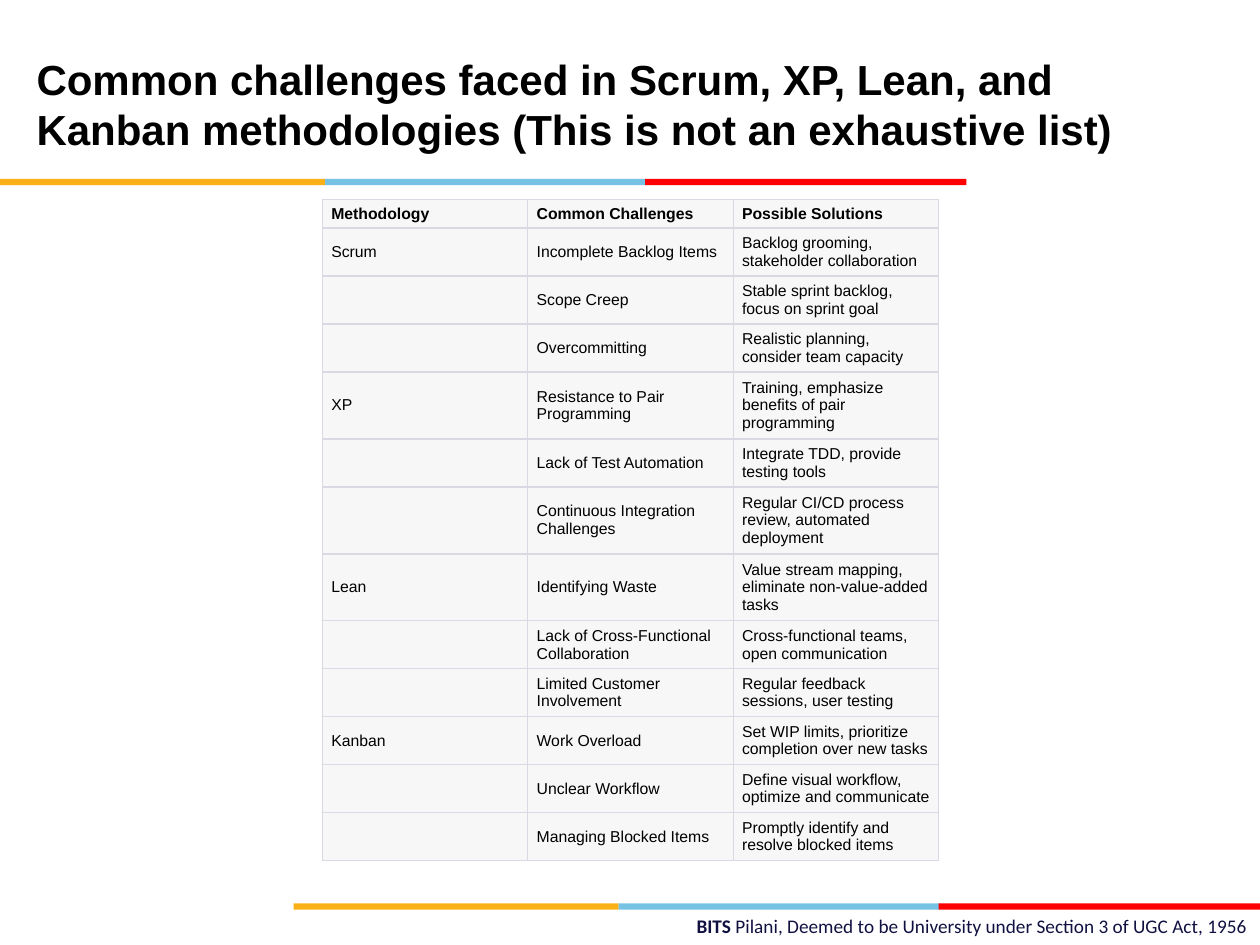
from dataclasses import dataclass

from lxml.etree import SubElement
from pptx import Presentation
from pptx.dml.color import RGBColor
from pptx.enum.shapes import MSO_SHAPE as Shape
from pptx.enum.text import MSO_ANCHOR as Anchor, MSO_AUTO_SIZE as AutoSize, PP_ALIGN as Align
from pptx.oxml.ns import qn
from pptx.util import Inches, Pt

BLACK, NAVY = "000000", "101141"
CELL_FILL, CELL_BORDER = "F7F7F8", "D9D9E3"
HEADER_HEIGHT, TWO_LINES, THREE_LINES = 0.22, 0.36, 0.5
COLUMN_WIDTH = 1.63
HEADINGS = ("Methodology", "Common Challenges", "Possible Solutions")


@dataclass
class Band:
    color: str
    offset: float
    width: float


@dataclass
class Challenge:
    methodology: str
    name: str
    solution: str
    height: float = TWO_LINES


@dataclass
class Span:
    text: str
    size: float
    font: str = "Arial"
    color: str = BLACK
    bold: bool = False


BANDS = [
    Band("FCB017", 0, 2.58),
    Band("76C2E5", 2.58, 2.55),
    Band("FF0000", 5.12, 2.55),
]

CHALLENGES = [
    Challenge("Scrum", "Incomplete Backlog Items", "Backlog grooming, stakeholder collaboration"),
    Challenge("", "Scope Creep", "Stable sprint backlog, focus on sprint goal"),
    Challenge("", "Overcommitting", "Realistic planning, consider team capacity"),
    Challenge("XP", "Resistance to Pair Programming",
              "Training, emphasize benefits of pair programming", THREE_LINES),
    Challenge("", "Lack of Test Automation", "Integrate TDD, provide testing tools"),
    Challenge("", "Continuous Integration Challenges",
              "Regular CI/CD process review, automated deployment", THREE_LINES),
    Challenge("Lean", "Identifying Waste",
              "Value stream mapping, eliminate non-value-added tasks", THREE_LINES),
    Challenge("", "Lack of Cross-Functional Collaboration",
              "Cross-functional teams, open communication"),
    Challenge("", "Limited Customer Involvement", "Regular feedback sessions, user testing"),
    Challenge("Kanban", "Work Overload", "Set WIP limits, prioritize completion over new tasks"),
    Challenge("", "Unclear Workflow", "Define visual workflow, optimize and communicate"),
    Challenge("", "Managing Blocked Items", "Promptly identify and resolve blocked items"),
]


def rgb(color: str) -> RGBColor:
    return RGBColor.from_string(color)


def apply(target, values: dict) -> None:
    for name, value in values.items():
        setattr(target, name, value)


def add_spans(para, spans: list[Span]) -> None:
    for span in spans:
        run = para.add_run()
        run.text = span.text
        apply(run.font, {"size": Pt(span.size), "name": span.font, "bold": span.bold})
        run.font.color.rgb = rgb(span.color)


def add_stripe(page, left: float, top: float) -> None:
    for band in BANDS:
        bar = page.shapes.add_shape(Shape.RECTANGLE, Inches(left + band.offset), Inches(top),
                                    Inches(band.width), Inches(0.05))
        bar.shadow.inherit = False
        bar.fill.solid()
        bar.fill.fore_color.rgb = rgb(band.color)
        bar.line.fill.background()


def add_text(page, left: float, top: float, width: float, height: float,
             spans: list[Span], align: Align, **frame_format) -> None:
    box = page.shapes.add_textbox(Inches(left), Inches(top), Inches(width), Inches(height))
    margins = {f"margin_{side}": Inches(0.05) for side in ("left", "top", "right", "bottom")}
    apply(box.text_frame, {"word_wrap": True, **margins, **frame_format})
    para = box.text_frame.paragraphs[0]
    para.alignment = align
    add_spans(para, spans)


def add_borders(cell, widths: dict[str, float]) -> None:
    properties = cell._tc.get_or_add_tcPr()
    for side, width in widths.items():
        line = SubElement(properties, qn(f"a:ln{side}"), w=str(Pt(width)))
        fill = SubElement(line, qn("a:solidFill"))
        SubElement(fill, qn("a:srgbClr"), val=CELL_BORDER)


def fill_cell(cell, text: str, header: bool, last: bool) -> None:
    apply(cell, {
        "margin_left": Inches(0.07), "margin_right": Inches(0.07),
        "margin_top": Inches(0.04), "margin_bottom": Inches(0.04),
        "vertical_anchor": Anchor.BOTTOM if header else Anchor.MIDDLE,
    })
    add_borders(cell, {"L": 0.75, "R": 0.75, "T": 0.75 if header else 1, "B": 0.75 if last else 1})
    cell.fill.solid()
    cell.fill.fore_color.rgb = rgb(CELL_FILL)
    para = cell.text_frame.paragraphs[0]
    if text:
        add_spans(para, [Span(text, 9, bold=header)])
    else:
        SubElement(para._p, qn("a:endParaRPr"), sz="900")


def add_challenge_table(page, left: float, top: float) -> None:
    rows = [HEADINGS] + [(item.methodology, item.name, item.solution) for item in CHALLENGES]
    heights = [HEADER_HEIGHT] + [item.height for item in CHALLENGES]
    frame = page.shapes.add_table(len(rows), len(HEADINGS), Inches(left), Inches(top),
                                  Inches(COLUMN_WIDTH * len(HEADINGS)), Inches(sum(heights)))
    table = frame.table
    apply(table, {"first_row": False, "horz_banding": False})
    for column in table.columns:
        column.width = Inches(COLUMN_WIDTH)
    for index, (texts, height) in enumerate(zip(rows, heights)):
        table.rows[index].height = Inches(height)
        for cell, text in zip(table.rows[index].cells, texts):
            fill_cell(cell, text, header=index == 0, last=index == len(rows) - 1)


def main() -> None:
    deck = Presentation()
    apply(deck, {"slide_width": Inches(10), "slide_height": Inches(7.5)})
    page = deck.slides.add_slide(deck.slide_layouts[6])

    add_stripe(page, 0, 1.42)
    add_stripe(page, 2.33, 7.17)
    add_text(page, 3.63, 7.21, 6.32, 0.29, [
        Span("BITS ", 11, "Calibri", NAVY, True),
        Span("Pilani, Deemed to be University under Section 3 of UGC Act, 1956", 11, "Calibri", NAVY),
    ], Align.RIGHT, auto_size=AutoSize.SHAPE_TO_FIT_TEXT)
    add_text(page, 0.24, 0.2, 9, 1.25, [
        Span("Common challenges faced in Scrum, XP, Lean, and Kanban methodologies "
             "(This is not an exhaustive list)", 24, bold=True),
    ], Align.LEFT, vertical_anchor=Anchor.MIDDLE)
    add_challenge_table(page, 2.56, 1.58)

    deck.save("out.pptx")


if __name__ == "__main__":
    main()
